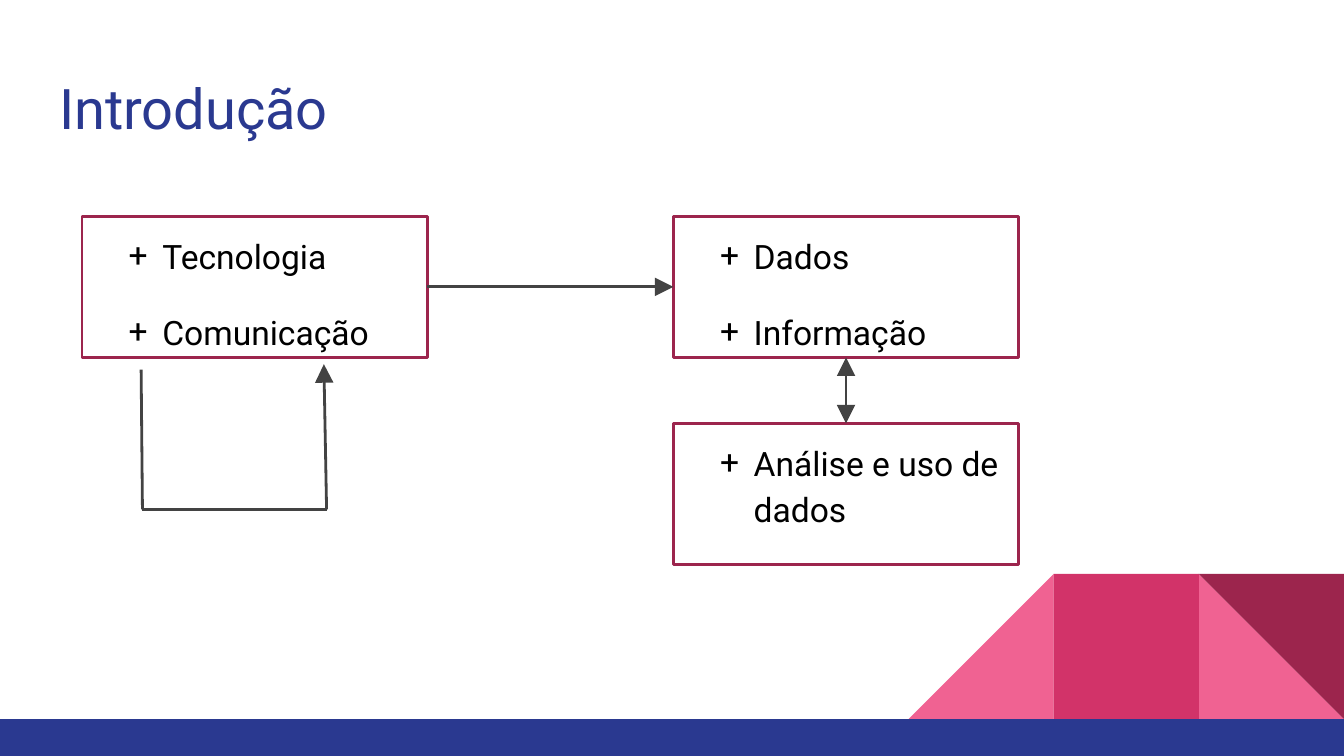
from dataclasses import dataclass

from lxml import etree
from pptx import Presentation
from pptx.dml.color import RGBColor
from pptx.enum.shapes import MSO_CONNECTOR, MSO_SHAPE
from pptx.enum.text import MSO_ANCHOR, MSO_AUTO_SIZE, PP_ALIGN
from pptx.oxml.ns import qn
from pptx.util import Inches, Pt

RECTANGLE = MSO_SHAPE.RECTANGLE
TRIANGLE = MSO_SHAPE.RIGHT_TRIANGLE
STRAIGHT = MSO_CONNECTOR.STRAIGHT
TOP, LEFT, BOTTOM, RIGHT = range(4)
PAGE_WIDTH = 10
PAGE_HEIGHT = PAGE_WIDTH * 9 / 16


@dataclass(frozen=True)
class Theme:
    font: str = "Roboto"
    title_size: int = 30
    body_size: int = 18
    line_width: float = 1.5
    blue: str = "2A3990"
    pink: str = "F06292"
    rose: str = "D23369"
    wine: str = "9C254D"
    gray: str = "434343"
    black: str = "000000"


THEME = Theme()


def rgb(color):
    return RGBColor.from_string(color)


def add_bullet(para, char, color):
    props = para._p.get_or_add_pPr()
    props.set("marL", str(Inches(0.5)))
    props.set("indent", str(Inches(-0.25)))
    bullet_color = etree.SubElement(props, qn("a:buClr"))
    etree.SubElement(bullet_color, qn("a:srgbClr"), val=color)
    etree.SubElement(props, qn("a:buFont"), typeface=THEME.font)
    etree.SubElement(props, qn("a:buChar"), char=char)


def write_text(shape, lines, size, color, bullet=None, spacing=1.0, after=0):
    frame = shape.text_frame
    frame.word_wrap = True
    frame.auto_size = MSO_AUTO_SIZE.NONE
    frame.vertical_anchor = MSO_ANCHOR.TOP
    frame.margin_left = frame.margin_right = Inches(0.1)
    frame.margin_top = frame.margin_bottom = Inches(0.1)
    for index, line in enumerate(lines):
        para = frame.paragraphs[0] if index == 0 else frame.add_paragraph()
        para.alignment = PP_ALIGN.LEFT
        para.line_spacing = spacing
        para.space_before = Pt(0)
        para.space_after = Pt(after)
        if bullet:
            add_bullet(para, bullet, color)
        span = para.add_run()
        span.text = line
        span.font.name = THEME.font
        span.font.size = Pt(size)
        span.font.color.rgb = rgb(color)


def add_block(page, kind, left, top, width, height, fill=None, line=None, turn=0):
    shape = page.shapes.add_shape(
        kind, Inches(left), Inches(top), Inches(width), Inches(height))
    shape.shadow.inherit = False
    shape.rotation = turn
    if fill:
        shape.fill.solid()
        shape.fill.fore_color.rgb = rgb(fill)
    else:
        shape.fill.background()
    if line:
        shape.line.color.rgb = rgb(line)
        shape.line.width = Pt(THEME.line_width)
    else:
        shape.line.fill.background()
    return shape


def add_line(page, start=(0, 0), end=(0, 0), head=False, tail=False):
    line = page.shapes.add_connector(
        STRAIGHT, *(Inches(value) for value in (*start, *end)))
    line.line.color.rgb = rgb(THEME.gray)
    line.line.width = Pt(THEME.line_width)
    outline = line.line._get_or_add_ln()
    for tag, wanted in (("a:headEnd", head), ("a:tailEnd", tail)):
        if wanted:
            etree.SubElement(outline, qn(tag), type="triangle", w="lg", len="lg")
    etree.SubElement(line._element.spPr, qn("a:effectLst"))
    return line


def join(page, first, first_side, second, second_side, **arrows):
    line = add_line(page, **arrows)
    line.begin_connect(first, first_side)
    line.end_connect(second, second_side)


def draw_footer(page, left, top, width, height):
    """Blue band with a row of square tiles standing on its right end."""
    side = 1.08
    right = left + width
    tiles = (
        (TRIANGLE, 1, THEME.pink, 0),
        (TRIANGLE, 3, THEME.pink, 270),
        (RECTANGLE, 2, THEME.rose, 0),
        (TRIANGLE, 1, THEME.wine, 180),
    )
    for kind, place, fill, turn in tiles:
        add_block(page, kind, right - place * side, top - side, side, side,
                  fill, turn=turn)
    add_block(page, RECTANGLE, left, top, width, height, THEME.blue)


def draw_title(page, left, top, width, height):
    title = page.shapes.title
    title.left, title.top = Inches(left), Inches(top)
    title.width, title.height = Inches(width), Inches(height)
    write_text(title, ["Introdução"], THEME.title_size, THEME.blue)


def draw_topic(page, left, top, lines):
    box = add_block(page, RECTANGLE, left, top, 2.57, 1.05, line=THEME.wine)
    write_text(box, lines, THEME.body_size, THEME.black,
               bullet="+", spacing=1.15, after=16)
    return box


def draw_loop(page, left, top):
    """Three lines that leave the box above and point back to it."""
    points = [(left + x, top + y) for x, y in
              ((0, 0.04), (0.01, 1.08), (1.38, 1.08), (1.36, 0))]
    last = len(points) - 2
    for index, (start, end) in enumerate(zip(points, points[1:])):
        add_line(page, start, end, tail=index == last)


def draw_diagram(page, left, top):
    second = left + 4.4
    source = draw_topic(page, left, top, ["Tecnologia", "Comunicação"])
    data = draw_topic(page, second, top, ["Dados", "Informação"])
    analysis = draw_topic(page, second, top + 1.54, ["Análise e uso de dados"])
    join(page, source, RIGHT, data, LEFT, tail=True)
    join(page, analysis, TOP, data, BOTTOM, head=True, tail=True)
    draw_loop(page, left + 0.44, top + 1.1)


def main():
    deck = Presentation()
    deck.slide_width, deck.slide_height = Inches(PAGE_WIDTH), Inches(PAGE_HEIGHT)
    page = deck.slides.add_slide(deck.slide_layouts[5])
    band_top = 5.35
    draw_footer(page, 0, band_top, PAGE_WIDTH, PAGE_HEIGHT - band_top)
    draw_title(page, 0.34, 0.45, 9.32, 0.66)
    draw_diagram(page, 0.61, 1.61)
    deck.save("out.pptx")


if __name__ == "__main__":
    main()
